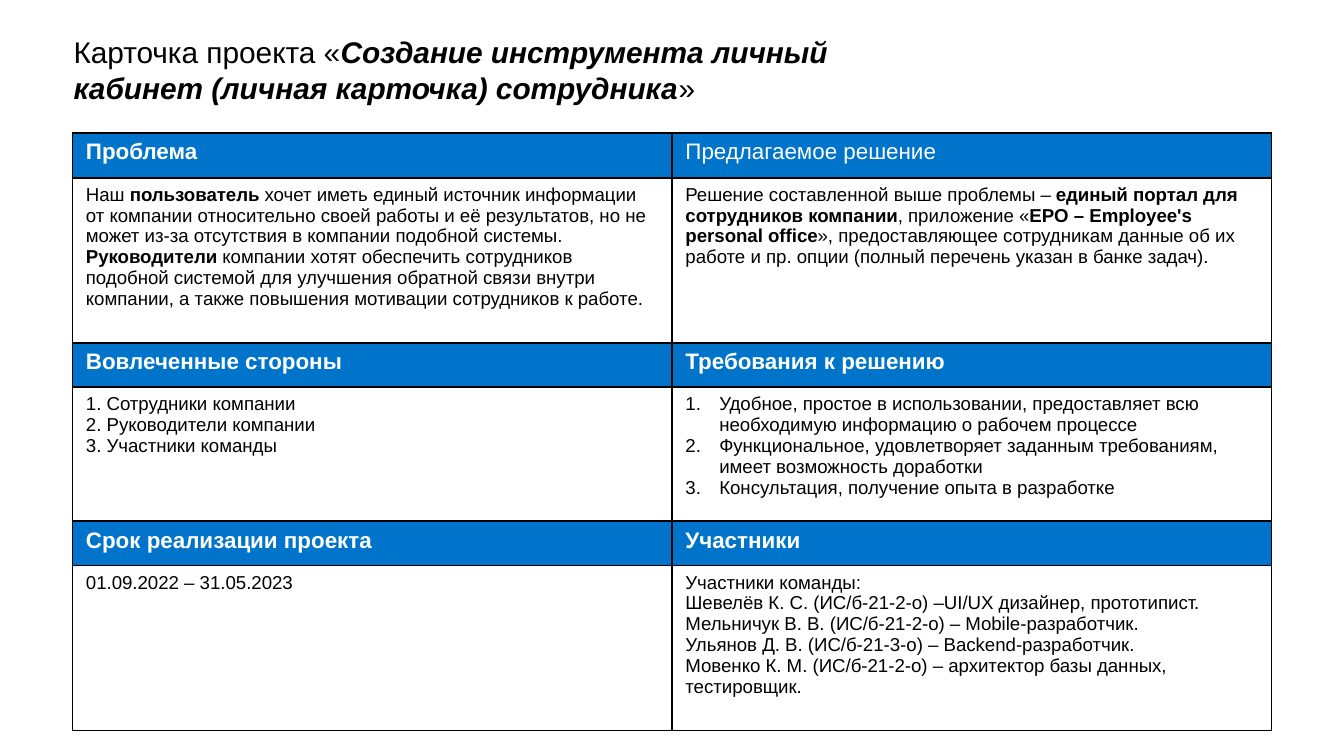
"""Build the project card slide: a title above a two-column table."""
from lxml import etree
from pptx import Presentation
from pptx.dml.color import RGBColor
from pptx.enum.text import MSO_ANCHOR, MSO_AUTO_SIZE, PP_ALIGN
from pptx.oxml.ns import qn
from pptx.util import Cm, Pt

LEFT = PP_ALIGN.LEFT
BOTTOM = MSO_ANCHOR.BOTTOM
NO_AUTOFIT = MSO_AUTO_SIZE.NONE
TITLE_ONLY = 5
COLORS = {"header": "0074CA", "body": "FFFFFF", "text": "000000",
          "header_text": "FFFFFF", "border": "000000"}
FONT = "Arial"
COLUMN_WIDTH = 11.33
TITLE_FORMAT = {"size": Pt(16), "name": FONT}
HEADER_FORMAT = {"size": Pt(12), "name": FONT, "bold": True}
BODY_FORMAT = {"size": Pt(10), "name": FONT, "bold": False}
TITLE = "Карточка проекта «**Создание инструмента личный кабинет (личная карточка) сотрудника**»"

SECTIONS = [
    {"heights": (0.85, 3.12),
     "headers": ("Проблема", "Предлагаемое решение"),
     "bodies": (
         ["Наш **пользователь** хочет иметь единый источник информации от компании "
          "относительно своей работы и её результатов, но не может из-за отсутствия "
          "в компании подобной системы.",
          "**Руководители **компании хотят обеспечить сотрудников подобной системой "
          "для улучшения обратной связи внутри компании, а также повышения мотивации "
          "сотрудников к работе."],
         ["Решение составленной выше проблемы – **единый портал для сотрудников "
          "компании**, приложение «**EPO – Employee's personal office**», "
          "предоставляющее сотрудникам данные об их работе и пр. опции (полный "
          "перечень указан в банке задач)."])},
    {"heights": (0.84, 2.53),
     "headers": ("Вовлеченные стороны", "Требования к решению"),
     "bodies": (
         ["1. Сотрудники компании", "2. Руководители компании", "3. Участники команды"],
         ["Удобное, простое в использовании, предоставляет всю необходимую информацию "
          "о рабочем процессе",
          "Функциональное, удовлетворяет заданным требованиям, имеет возможность доработки",
          "Консультация, получение опыта в разработке"])},
    {"heights": (0.84, 3.12),
     "headers": ("Срок реализации проекта", "Участники"),
     "bodies": (
         ["01.09.2022 – 31.05.2023"],
         ["Участники команды:",
          "Шевелёв К. С. (ИС/б-21-2-о) –UI/UX дизайнер, прототипист.",
          "Мельничук В. В. (ИС/б-21-2-о) – Mobile-разработчик.",
          "Ульянов Д. В. (ИС/б-21-3-о) – Backend-разработчик.",
          "Мовенко К. М. (ИС/б-21-2-о) – архитектор базы данных, тестировщик."])},
]
REGULAR_HEADERS = {"Предлагаемое решение"}
NUMBERED_CELLS = {(3, 1)}


def set_attributes(target, values):
    """Set every named value on the target object."""
    for name, value in values.items():
        setattr(target, name, value)


def add_runs(paragraph, text, font_format, color, emphasis):
    """Write text as runs, giving the parts between ** the emphasis format."""
    for index, part in enumerate(text.split("**")):
        if part:
            run = paragraph.add_run()
            run.text = part
            set_attributes(run.font, {**font_format, **(emphasis if index % 2 else {})})
            run.font.color.rgb = RGBColor.from_string(color)


def number_paragraph(paragraph):
    """Give a paragraph automatic numbering with a hanging indent."""
    properties = paragraph._p.get_or_add_pPr()
    properties.set("marL", str(Cm(0.64)))
    properties.set("indent", str(-Cm(0.64)))
    etree.SubElement(properties, qn("a:buFont"), typeface=FONT)
    etree.SubElement(properties, qn("a:buAutoNum"), type="arabicPeriod")


def add_borders(cell):
    """Draw a thin solid line on all four sides of a cell."""
    properties = cell._tc.get_or_add_tcPr()
    for side in ("lnL", "lnR", "lnT", "lnB"):
        line = etree.SubElement(properties, qn(f"a:{side}"), w=str(Pt(1)))
        fill = etree.SubElement(line, qn("a:solidFill"))
        etree.SubElement(fill, qn("a:srgbClr"), val=COLORS["border"])


def fill_cell(cell, lines, font_format, fill, color, numbered=False):
    """Write the lines into a cell and set its borders and fill."""
    add_borders(cell)
    cell.fill.solid()
    cell.fill.fore_color.rgb = RGBColor.from_string(COLORS[fill])
    frame = cell.text_frame
    for index, text in enumerate(lines):
        paragraph = frame.add_paragraph() if index else frame.paragraphs[0]
        if numbered:
            number_paragraph(paragraph)
        add_runs(paragraph, text, font_format, COLORS[color], {"bold": True})


def add_title(slide):
    """Place and format the slide title."""
    title = slide.shapes.title
    set_attributes(title, {"left": Cm(1.14), "top": Cm(1.07),
                           "width": Cm(17.35), "height": Cm(1.17)})
    set_attributes(title.text_frame, {
        "word_wrap": True, "auto_size": NO_AUTOFIT, "vertical_anchor": BOTTOM,
        "margin_left": Cm(0.25), "margin_right": Cm(0.4),
        "margin_top": Cm(0.25), "margin_bottom": Cm(0.25)})
    paragraph = title.text_frame.paragraphs[0]
    set_attributes(paragraph, {"alignment": LEFT, "line_spacing": 1.0})
    add_runs(paragraph, TITLE, TITLE_FORMAT, COLORS["text"],
             {"bold": True, "italic": True})


def add_card_table(slide):
    """Add the table with a header row and a body row for each section."""
    heights = [height for section in SECTIONS for height in section["heights"]]
    table = slide.shapes.add_table(len(heights), 2, Cm(1.37), Cm(2.51),
                                   Cm(2 * COLUMN_WIDTH), Cm(sum(heights))).table
    set_attributes(table, {"first_row": False, "horz_banding": False})
    for column in table.columns:
        column.width = Cm(COLUMN_WIDTH)
    for row, height in zip(table.rows, heights):
        row.height = Cm(height)
    for index, section in enumerate(SECTIONS):
        header_row, body_row = 2 * index, 2 * index + 1
        for column, header in enumerate(section["headers"]):
            header_format = {**HEADER_FORMAT, "bold": header not in REGULAR_HEADERS}
            fill_cell(table.cell(header_row, column), [header], header_format,
                      "header", "header_text")
            fill_cell(table.cell(body_row, column), section["bodies"][column],
                      BODY_FORMAT, "body", "text",
                      (body_row, column) in NUMBERED_CELLS)


def main():
    """Create the presentation and save it."""
    presentation = Presentation()
    set_attributes(presentation, {"slide_width": Cm(25.4), "slide_height": Cm(14.29)})
    slide = presentation.slides.add_slide(presentation.slide_layouts[TITLE_ONLY])
    add_title(slide)
    add_card_table(slide)
    presentation.save("out.pptx")


if __name__ == "__main__":
    main()
